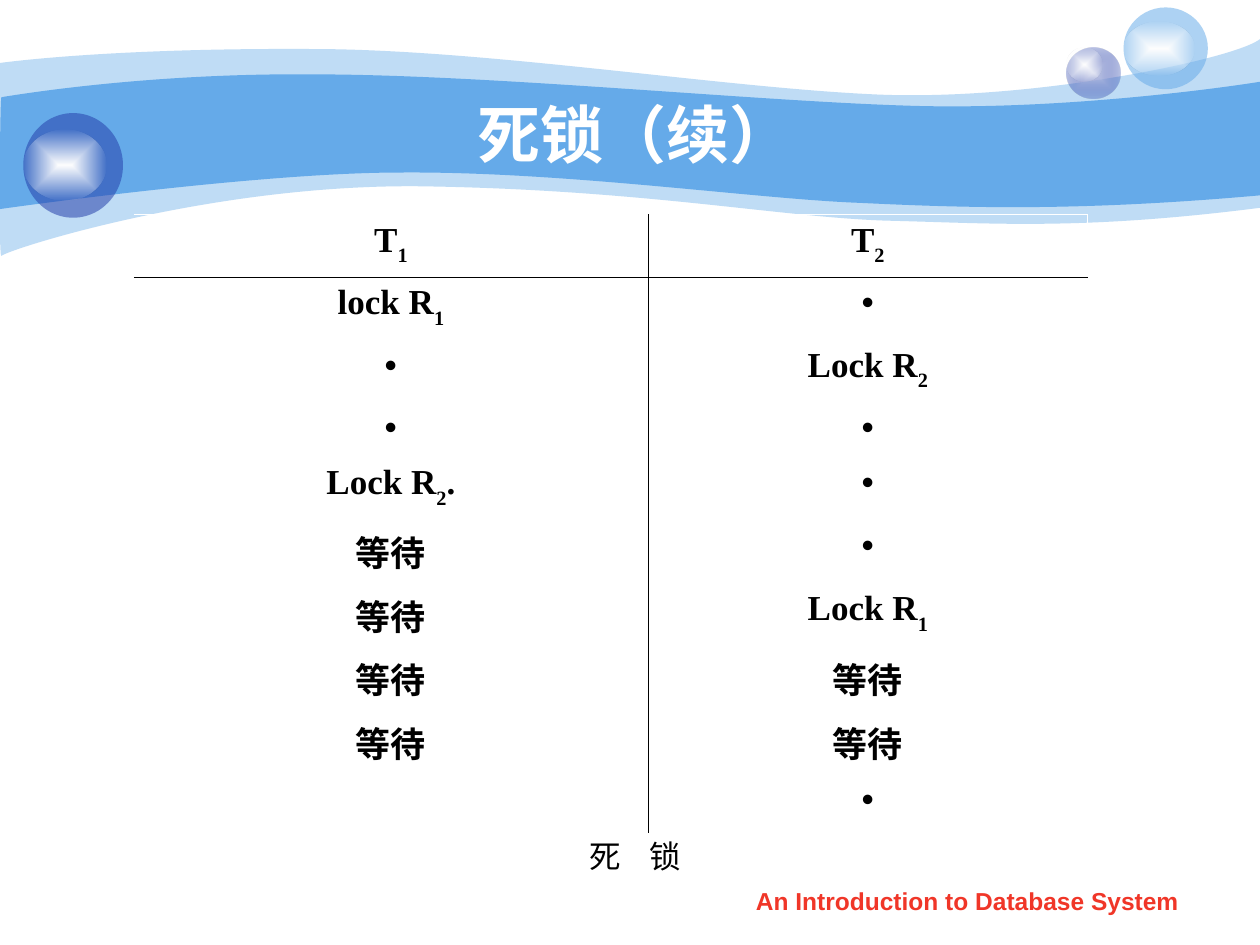
"""Build the deadlock slide with its wave banner and two-transaction lock schedule."""
from lxml.etree import SubElement
from pptx import Presentation
from pptx.dml.color import RGBColor
from pptx.enum.shapes import MSO_SHAPE
from pptx.enum.text import MSO_ANCHOR, MSO_AUTO_SIZE, PP_ALIGN
from pptx.oxml.ns import qn
from pptx.util import Cm, Pt

WHITE = RGBColor(0xFF, 0xFF, 0xFF)
NEAR_WHITE = RGBColor(0xFE, 0xFE, 0xFE)
BLACK = RGBColor(0x00, 0x00, 0x00)
SKY = RGBColor(0x65, 0xAA, 0xE9)
NAVY = RGBColor(0x23, 0x3D, 0xA9)
LAVENDER = RGBColor(0xC6, 0xCC, 0xE8)
RED = RGBColor(0xF0, 0x36, 0x28)


def paint(shape, *colors):
    """Fill with one (color, opacity) pair, or with two as a rectangular gradient."""
    shape.shadow.inherit = False
    shape.line.fill.background()
    properties = shape._element.spPr
    if len(colors) == 1:
        shape.fill.solid()
        shape.fill.fore_color.rgb = colors[0][0]
    else:
        shape.fill.gradient()
        for stop, (color, _) in zip(shape.fill.gradient_stops, colors):
            stop.color.rgb = color
        gradient = properties.find(qn("a:gradFill"))
        gradient.remove(gradient.find(qn("a:lin")))
        center = SubElement(gradient, qn("a:path"), {"path": "rect"})
        SubElement(center, qn("a:fillToRect"), dict.fromkeys("ltrb", "50000"))
    for element, (_, opacity) in zip(properties.iter(qn("a:srgbClr")), colors):
        if opacity < 100:
            SubElement(element, qn("a:alpha"), {"val": str(opacity * 1000)})


def write(text_frame, text, size=20, font="Times New Roman", color=BLACK, bold=True, spacing=0):
    """Write one centred paragraph; an underscore makes the next character a subscript."""
    paragraph = text_frame.paragraphs[0]
    paragraph.alignment = PP_ALIGN.CENTER
    base, *marked = text.split("_")
    pieces = [(base, False)]
    for part in marked:
        pieces += [(part[:1], True), (part[1:], False)]
    for piece, subscript in pieces:
        if piece:
            run = paragraph.add_run()
            run.text = piece
            run.font.size = Pt(size)
            run.font.name = font
            run.font.bold = bold
            run.font.color.rgb = color
            if subscript:
                run._r.get_or_add_rPr().set("baseline", "-30000")
            if spacing:
                run._r.get_or_add_rPr().set("spc", str(spacing * 100))


presentation = Presentation()
presentation.slide_width, presentation.slide_height = Cm(25.4), Cm(19.05)
slide = presentation.slides.add_slide(presentation.slide_layouts[6])

waves = [
    (41, (-0.03, 0.79, 25.43, 4.5), [
        (0, 1.27),
        (0.61, 1.19, 2.72, 0.97, 6.27, 0.99),
        (9.8, 0.99, 14.61, 1.78, 17.75, 1.91),
        (20.88, 2.03, 24.89, 1.19, 25.4, 0.79),
        (25.4, 4.19),
        (21.79, 4.65, 19.99, 4.5, 17.91, 4.45),
        (15.8, 4.39, 13.08, 3.84, 8.71, 3.76),
        (4.37, 3.66, 0.1, 5.05, 0.03, 5.16),
        (-0.03, 5.28, 0, 1.91, 0, 1.27),
    ]),
    (100, (-0.05, 1.47, 25.45, 2.79), [
        (0.03, 1.96),
        (0.05, 1.96, 2.79, 1.47, 6.3, 1.5),
        (9.8, 1.5, 15.11, 2.03, 18.24, 2.13),
        (21.36, 2.24, 24.79, 1.75, 25.4, 1.65),
        (25.4, 3.94),
        (21.67, 4.27, 19.43, 4.19, 17.32, 4.09),
        (15.21, 4.01, 11.35, 3.45, 8.05, 3.48),
        (5.16, 3.48, -0.05, 4.22, -0.03, 4.22),
        (0, 4.22, 0, 1.96, 0.03, 1.96),
    ]),
]
for opacity, (left, top, width, height), segments in waves:
    builder = slide.shapes.build_freeform(Cm(left), Cm(top))
    builder.add_line_segments([(Cm(left + width), Cm(top + height))], close=True)
    wave = builder.convert_to_shape()
    outline = wave._element.spPr.find(".//" + qn("a:path"))
    for element in list(outline):
        outline.remove(element)
    for index, segment in enumerate(segments):
        tag = "a:moveTo" if index == 0 else "a:lnTo" if len(segment) == 2 else "a:cubicBezTo"
        command = SubElement(outline, qn(tag))
        for x, y in zip(segment[::2], segment[1::2]):
            position = {"x": str(Cm(x - left)), "y": str(Cm(y - top))}
            SubElement(command, qn("a:pt"), position)
    SubElement(outline, qn("a:close"))
    paint(wave, (SKY, opacity))

glow = [(WHITE, 100), (NEAR_WHITE, 0)]
spheres = [
    ((21.51, 0.96, 1.07, 1.02), [(LAVENDER, 100), (NAVY, 31)], (21.51, 0.96, 0.71, 0.69)),
    ((22.65, 0.15, 1.7, 1.65), [(SKY, 53)], (22.65, 0.43, 1.42, 1.09)),
    ((0.47, 2.28, 2.01, 2.11), [(NAVY, 53)], (0.47, 2.62, 1.68, 1.42)),
]
for ball, ball_colors, highlight in spheres:
    group = slide.shapes.add_group_shape()
    for bounds, colors in ((ball, ball_colors), (highlight, glow)):
        paint(group.shapes.add_shape(MSO_SHAPE.OVAL, *map(Cm, bounds)), *colors)

title = slide.shapes.add_textbox(Cm(2.54), Cm(1.9), Cm(20.52), Cm(1.57)).text_frame
title.word_wrap = True
title.vertical_anchor = MSO_ANCHOR.MIDDLE
write(title, "死锁（续）", size=36, font="Arial", color=WHITE)

schedule = [
    ("T_1", "T_2"),
    ("lock R_1", "•"),
    ("•", "Lock R_2"),
    ("•", "•"),
    ("Lock R_2.", "•"),
    ("等待", "•"),
    ("等待", "Lock R_1"),
    ("等待", "等待"),
    ("等待", "等待"),
    ("", "•"),
]
row_heights = [1.26, 1.26, 1.26, 1.11, 1.25, 1.28, 1.28, 1.28, 1.28, 1.2]
last_row = len(schedule) - 1
frame = slide.shapes.add_table(
    len(schedule), 2, Cm(2.7), Cm(4.33), Cm(19.23), Cm(sum(row_heights)))
table = frame.table
table.first_row = table.horz_banding = False
style = table._tbl.tblPr.find(qn("a:tableStyleId"))
style.text = "{2D5ABB26-0587-4C30-8999-92F81FD0307C}"
for column, width in zip(table.columns, (10.36, 8.87)):
    column.width = Cm(width)
for row_index, (texts, height) in enumerate(zip(schedule, row_heights)):
    table.rows[row_index].height = Cm(height)
    for column_index, text in enumerate(texts):
        cell = table.cell(row_index, column_index)
        write(cell.text_frame, text)
        borders = {
            "L": BLACK if column_index == 1 else None,
            "R": BLACK if column_index == 0 else WHITE,
            "T": WHITE if row_index == 0 else None,
            "B": {0: BLACK, last_row: WHITE}.get(row_index),
        }
        cell_properties = cell._tc.get_or_add_tcPr()
        for side, color in borders.items():
            if color is not None:
                line = SubElement(cell_properties, qn(f"a:ln{side}"), {"w": str(Pt(0.45))})
                fill = SubElement(line, qn("a:solidFill"))
                SubElement(fill, qn("a:srgbClr"), {"val": str(color)})
        cell.fill.background()

caption = slide.shapes.add_textbox(Cm(10.69), Cm(16.74), Cm(4.24), Cm(1.02)).text_frame
caption.word_wrap = False
caption.auto_size = MSO_AUTO_SIZE.SHAPE_TO_FIT_TEXT
write(caption, "死 锁", size=18, bold=False, spacing=6)

footer = slide.shapes.add_textbox(Cm(14.5), Cm(17.73), Cm(10.01), Cm(0.89)).text_frame
footer.word_wrap = True
write(footer, "An Introduction to Database System", size=14, font="Arial", color=RED)

presentation.save("out.pptx")
